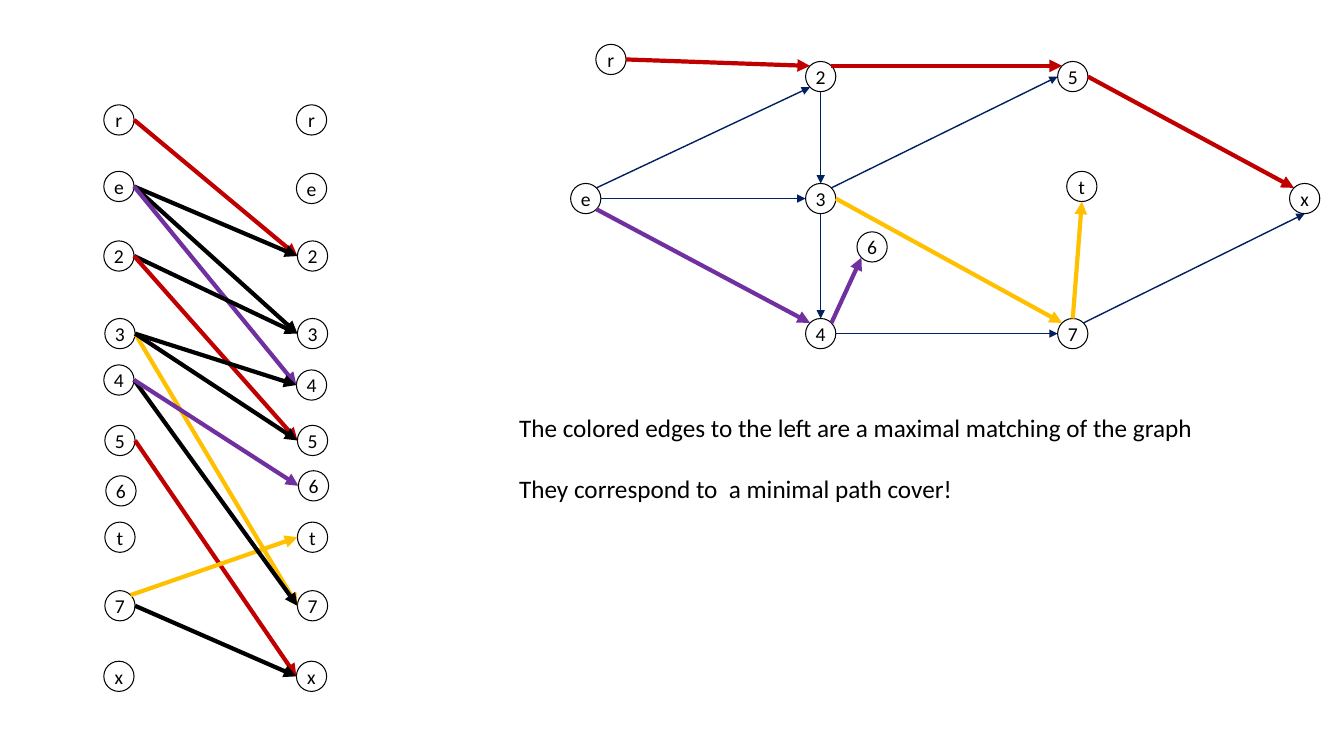
"""Build a slide that shows a bipartite matching beside its path cover."""
from lxml import etree
from pptx import Presentation, util as u
from pptx.dml.color import RGBColor
from pptx.enum import shapes, text
from pptx.oxml.ns import qn

COLOURS = {"black": "000000", "navy": "002060", "red": "C00000",
           "purple": "7030A0", "gold": "FFC000"}
FONT = "Calibri"
EMU_PER_PX = 9144
SLIDE_SIZE = (1333, 750)
RADIUS = 15

GRAPH_NODES = {
    "e": (581, 197), "2": (814, 76), "3": (814, 197), "4": (814, 331),
    "5": (1064, 76), "7": (1064, 331), "x": (1294, 197), "r": (606, 59),
    "t": (1073, 185), "6": (865, 245),
}
SOURCE_NODES = {
    "r": (118, 119), "e": (118, 185), "2": (118, 254), "3": (119, 331),
    "4": (118, 377), "5": (119, 437), "6": (120, 487), "t": (119, 533),
    "7": (119, 601), "x": (118, 671),
}
TARGET_NODES = {
    "r": (309, 119), "e": (309, 187), "2": (310, 254), "3": (310, 331),
    "4": (309, 382), "5": (310, 437), "6": (311, 482), "t": (310, 533),
    "7": (310, 601), "x": (309, 671),
}
GRAPH_EDGES = [
    ("e", "NE", "2", "SW", "navy"), ("e", "E", "3", "W", "navy"),
    ("e", "SE", "4", "NW", "purple"), ("3", "S", "4", "N", "navy"),
    ("3", "E", "7", "NW", "gold"), ("4", "E", "7", "W", "navy"),
    ("2", "S", "3", "N", "navy"), ("5", "E", "x", "NW", "red"),
    ("7", "NE", "x", "S", "navy"), ("3", "NE", "5", "W", "navy"),
    ("r", "E", "2", "NW", "red"), ("2", "NE", "5", "NW", "red"),
    ("7", "N", "t", "S", "gold"), ("4", "NE", "6", "SW", "purple"),
]
MATCHING_EDGES = [
    ("5", "E", "x", "W", "red"), ("r", "E", "2", "W", "red"),
    ("e", "E", "2", "W", "black"), ("e", "E", "3", "W", "black"),
    ("e", "E", "4", "W", "purple"), ("2", "E", "3", "W", "black"),
    ("2", "E", "5", "W", "red"), ("3", "E", "4", "W", "black"),
    ("3", "E", "7", "W", "gold"), ("3", "E", "5", "W", "black"),
    ("7", "NE", "t", "W", "gold"), ("7", "E", "x", "W", "black"),
    ("4", "E", "7", "W", "black"), ("4", "E", "6", "W", "purple"),
]
CAPTION_BOX = (505, 404, 773, 101)
CAPTION = [
    "The colored edges to the left are a maximal matching of the graph",
    "They correspond to  a minimal path cover!",
]


def px(*lengths):
    return [u.Emu(round(length * EMU_PER_PX)) for length in lengths]


def colour(name):
    return RGBColor.from_string(COLOURS[name])


def style_text(para, size):
    para.font.name = FONT
    para.font.size = u.Pt(size)
    para.font.color.rgb = colour("black")


def rim_point(centre, side):
    dx = ("E" in side) - ("W" in side)
    dy = ("S" in side) - ("N" in side)
    reach = RADIUS / (dx * dx + dy * dy) ** 0.5
    return centre[0] + dx * reach, centre[1] + dy * reach


def add_node(page, label, centre):
    corner = [value - RADIUS for value in centre]
    node = page.shapes.add_shape(
        shapes.MSO_SHAPE.OVAL, *px(*corner, 2 * RADIUS, 2 * RADIUS))
    node.shadow.inherit = False
    node.fill.background()
    node.line.color.rgb = colour("black")
    node.line.width = u.Pt(0.75)
    frame = node.text_frame
    frame.word_wrap = False
    frame.vertical_anchor = text.MSO_ANCHOR.MIDDLE
    para = frame.paragraphs[0]
    para.text = label
    para.alignment = text.PP_ALIGN.CENTER
    style_text(para, 14)


def add_edge(page, start, end, name):
    edge = page.shapes.add_connector(
        shapes.MSO_CONNECTOR.STRAIGHT, *px(*start, *end))
    edge.line.color.rgb = colour(name)
    edge.line.width = u.Pt(1 if name == "navy" else 3)
    etree.SubElement(edge.line._get_or_add_ln(), qn("a:tailEnd"), type="triangle")
    etree.SubElement(edge._element.spPr, qn("a:effectLst"))


def add_diagram(page, origins, targets, edges):
    for start, start_side, end, end_side, name in edges:
        add_edge(page, rim_point(origins[start], start_side),
                 rim_point(targets[end], end_side), name)


def add_caption(page):
    box = page.shapes.add_textbox(*px(*CAPTION_BOX))
    frame = box.text_frame
    frame.word_wrap = True
    frame.auto_size = text.MSO_AUTO_SIZE.SHAPE_TO_FIT_TEXT
    frame.text = "\n".join(CAPTION)
    for para in frame.paragraphs:
        style_text(para, 18)
    frame.paragraphs[1].space_before = u.Pt(22)


def main():
    deck = Presentation()
    deck.slide_width, deck.slide_height = px(*SLIDE_SIZE)
    page = deck.slides.add_slide(deck.slide_layouts[6])
    for nodes in (GRAPH_NODES, SOURCE_NODES, TARGET_NODES):
        for label, centre in nodes.items():
            add_node(page, label, centre)
    add_diagram(page, GRAPH_NODES, GRAPH_NODES, GRAPH_EDGES)
    add_diagram(page, SOURCE_NODES, TARGET_NODES, MATCHING_EDGES)
    add_caption(page)
    deck.save("out.pptx")


if __name__ == "__main__":
    main()
